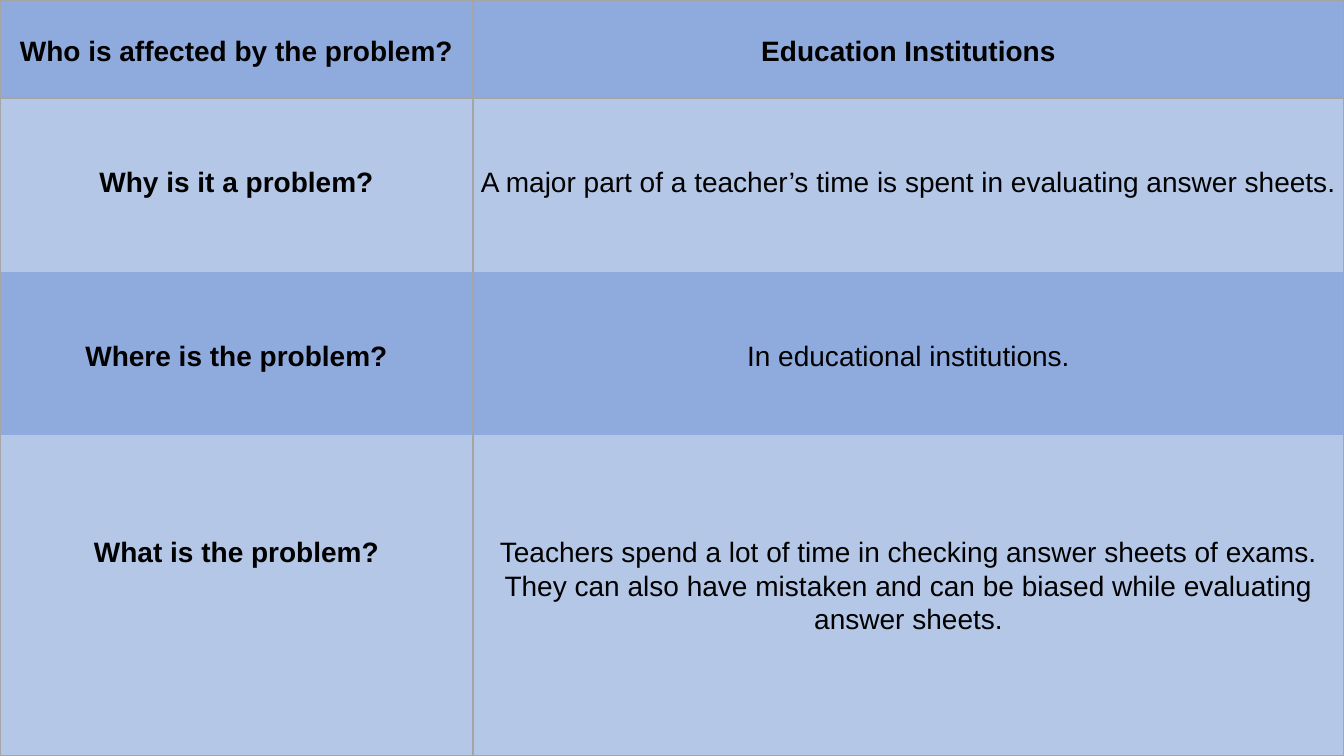
from lxml.etree import SubElement
from pptx import Presentation
from pptx.dml.color import RGBColor
from pptx.enum.text import MSO_ANCHOR, PP_ALIGN
from pptx.oxml.ns import qn
from pptx.util import Inches, Pt

THEME = {
    "bands": ("8FAADC", "B4C7E7"),
    "rule": "A5A5A5",
    "ink": "000000",
    "font": "Arial",
    "size": 20,
    "lead": 24,
}

# Column and row shares of the slide, in percent
COLS = (35.2, 64.8)
ROWS = (13, 23, 21.5, 42.5)

# Lines of space above the text, question, answer
FACTS = (
    (1, "Who is affected by the problem?", "Education Institutions"),
    (2, "Why is it a problem?",
     "A major part of a teacher’s time is spent in evaluating answer sheets."),
    (2, "Where is the problem?", "In educational institutions."),
    (3, "What is the problem?",
     "Teachers spend a lot of time in checking answer sheets of exams. "
     "They can also have mistaken and can be biased while evaluating answer sheets."),
)


def rule(cell, side, width):
    """Draw one cell border; a width of 0 hides it."""
    line = SubElement(cell._tc.get_or_add_tcPr(), qn("a:ln" + side), w=str(Pt(width)))
    if width:
        fill = SubElement(line, qn("a:solidFill"))
        SubElement(fill, qn("a:srgbClr"), val=THEME["rule"])
    else:
        SubElement(line, qn("a:noFill"))


# Slide
deck = Presentation()
deck.slide_width, deck.slide_height = Inches(13.33), Inches(7.5)
wide, high = deck.slide_width, deck.slide_height
slide = deck.slides.add_slide(deck.slide_layouts[6])

# Table grid
table = slide.shapes.add_table(len(ROWS), len(COLS), 0, 0, wide, high).table
table.first_row = table.horz_banding = False
for col, share in zip(table.columns, COLS):
    col.width = int(wide * share / 100)
for row, share in zip(table.rows, ROWS):
    row.height = int(high * share / 100)

# Cells
last = len(ROWS) - 1
for r, (gap, *texts) in enumerate(FACTS):
    edges = {
        "L": 1,
        "R": 1,
        "T": {0: 1, 1: 2}.get(r, 0),
        "B": {0: 2, last: 1}.get(r, 0),
    }
    for c, text in enumerate(texts):
        cell = table.cell(r, c)
        for side, width in edges.items():
            rule(cell, side, width)
        cell.fill.solid()
        cell.fill.fore_color.rgb = RGBColor.from_string(THEME["bands"][r % 2])

        form = {
            "margin_left": Inches(0.07),
            "margin_right": Inches(0.07),
            "margin_top": Pt(gap * THEME["lead"]),
            "margin_bottom": 0,
            "vertical_anchor": MSO_ANCHOR.TOP,
        }
        for name, value in form.items():
            setattr(cell, name, value)

        # Text
        para = cell.text_frame.paragraphs[0]
        para.alignment = PP_ALIGN.CENTER
        para.line_spacing = 1.07
        run = para.add_run()
        run.text = text
        face = {
            "name": THEME["font"],
            "size": Pt(THEME["size"]),
            "bold": r == 0 or c == 0,
        }
        for name, value in face.items():
            setattr(run.font, name, value)
        run.font.color.rgb = RGBColor.from_string(THEME["ink"])

deck.save("out.pptx")
